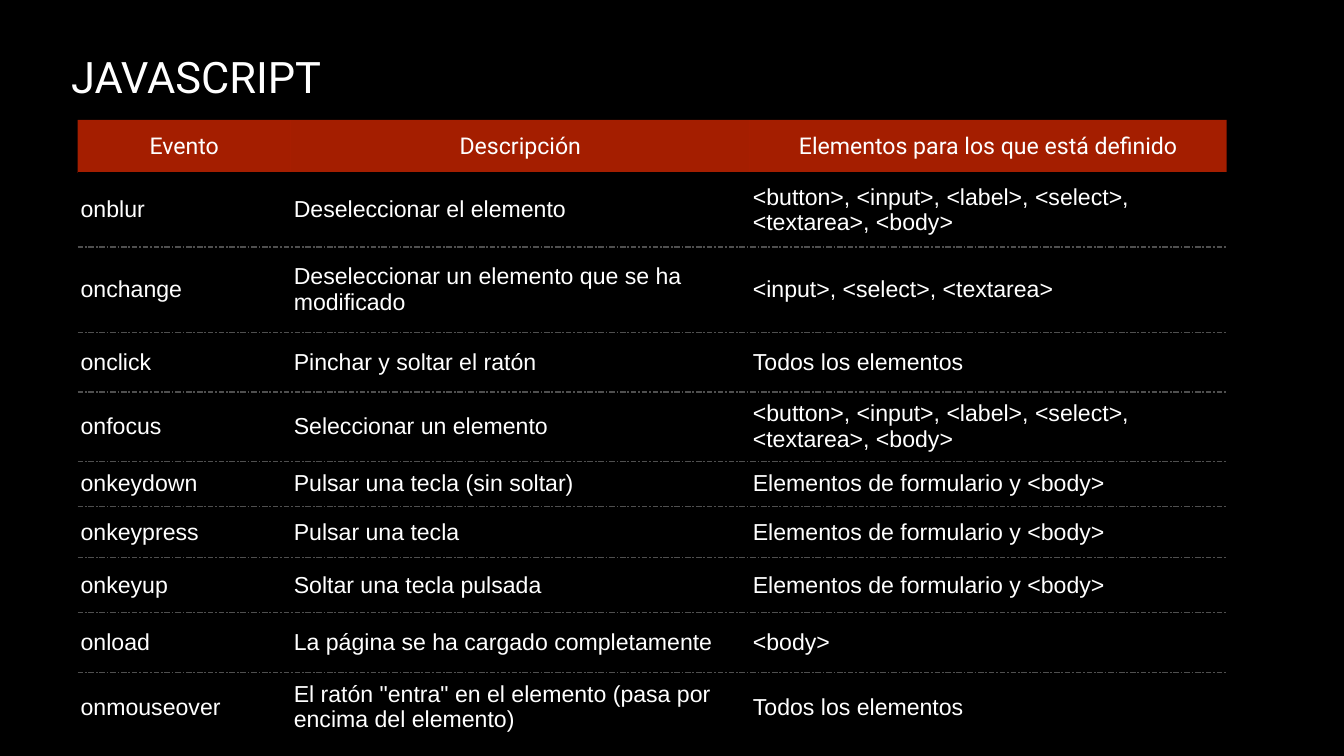
"""Build a slide with a table of JavaScript events."""
from lxml.etree import SubElement
from pptx import Presentation
from pptx.dml.color import RGBColor as Color
from pptx.enum.text import MSO_ANCHOR as Anchor, PP_ALIGN as Align
from pptx.oxml import parse_xml
from pptx.oxml.ns import nsdecls, qn
from pptx.util import Inches, Pt

COLORS = {"back": "000000", "text": "FFFFFF", "header": "CD2600", "rule": "4F4F4F"}
INSET = Inches(0.06)
NO_GRID_STYLE = "{2D5ABB26-0587-4C30-8999-92F81FD0307C}"
COLUMNS = [4.23, 9.11, 9.46]
ROWS = [1.05, 1.47, 1.7, 1.18, 1.37, 0.9, 1.02, 1.08, 1.19, 1.38]

FIELDS = "<button>, <input>, <label>, <select>, <textarea>, <body>"
FORM = "Elementos de formulario y <body>"
ALL = "Todos los elementos"
EVENTS = [
    ("Evento", "Descripción", "Elementos para los que está definido"),
    ("onblur", "Deseleccionar el elemento", FIELDS),
    ("onchange", "Deseleccionar un elemento que se ha modificado",
     "<input>, <select>, <textarea>"),
    ("onclick", "Pinchar y soltar el ratón", ALL),
    ("onfocus", "Seleccionar un elemento", FIELDS),
    ("onkeydown", "Pulsar una tecla (sin soltar)", FORM),
    ("onkeypress", "Pulsar una tecla", FORM),
    ("onkeyup", "Soltar una tecla pulsada", FORM),
    ("onload", "La página se ha cargado completamente", "<body>"),
    ("onmouseover", 'El ratón "entra" en el elemento (pasa por encima del elemento)', ALL),
]
RULES = [("back", 3, "solid")] + [("rule", 2, "dashDot")] * 8 + [("back", 0.75, "solid")]


def set_font(para, name, size):
    para.font.name = name
    para.font.size = Pt(size)
    para.font.bold = False
    para.font.color.rgb = Color.from_string(COLORS["text"])


def add_border(cell, position, side, color, width, dash):
    line = parse_xml(
        f'<a:{side} {nsdecls("a")} w="{Pt(width)}"><a:solidFill>'
        f'<a:srgbClr val="{COLORS[color]}"/></a:solidFill>'
        f'<a:prstDash val="{dash}"/></a:{side}>')
    cell._tc.get_or_add_tcPr().insert(position, line)


deck = Presentation()
deck.slide_width, deck.slide_height = Inches(26.67), Inches(15)
page = deck.slides.add_slide(deck.slide_layouts[5])
page.background.fill.solid()
page.background.fill.fore_color.rgb = Color.from_string(COLORS["back"])

title = page.shapes.title
title.left, title.top = Inches(1.35), Inches(0.94)
title.width, title.height = Inches(23.96), Inches(2.19)
frame = title.text_frame
frame.text = "JAVASCRIPT"
frame.vertical_anchor = Anchor.TOP
frame.margin_left = frame.margin_right = frame.margin_top = frame.margin_bottom = INSET
frame.paragraphs[0].alignment = Align.LEFT
set_font(frame.paragraphs[0], "Roboto", 62)

table = page.shapes.add_table(
    len(ROWS), len(COLUMNS), Inches(1.54), Inches(2.38),
    Inches(sum(COLUMNS)), Inches(sum(ROWS))).table
table.horz_banding = False
table._tbl.tblPr.find(qn("a:tableStyleId")).text = NO_GRID_STYLE
for column, width in zip(table.columns, COLUMNS):
    column.width = Inches(width)

for index, (height, event) in enumerate(zip(ROWS, EVENTS)):
    row = table.rows[index]
    row.height = Inches(height)
    header = index == 0
    for cell, text in zip(row.cells, event):
        cell.text = text
        cell.vertical_anchor = Anchor.MIDDLE
        cell.margin_left = cell.margin_right = cell.margin_top = cell.margin_bottom = INSET
        para = cell.text_frame.paragraphs[0]
        para.alignment = Align.CENTER if header else Align.LEFT
        set_font(para, "Roboto" if header else "Arial", 33)
        if header:
            cell.fill.solid()
            cell.fill.fore_color.rgb = Color.from_string(COLORS["header"])
            shade = cell._tc.tcPr.find(".//" + qn("a:srgbClr"))
            SubElement(shade, qn("a:alpha"), val="80000")
        else:
            cell.fill.background()
        add_border(cell, 0, "lnB", *RULES[index])
        if not header:
            add_border(cell, 0, "lnT", *RULES[index - 1])

deck.save("out.pptx")
